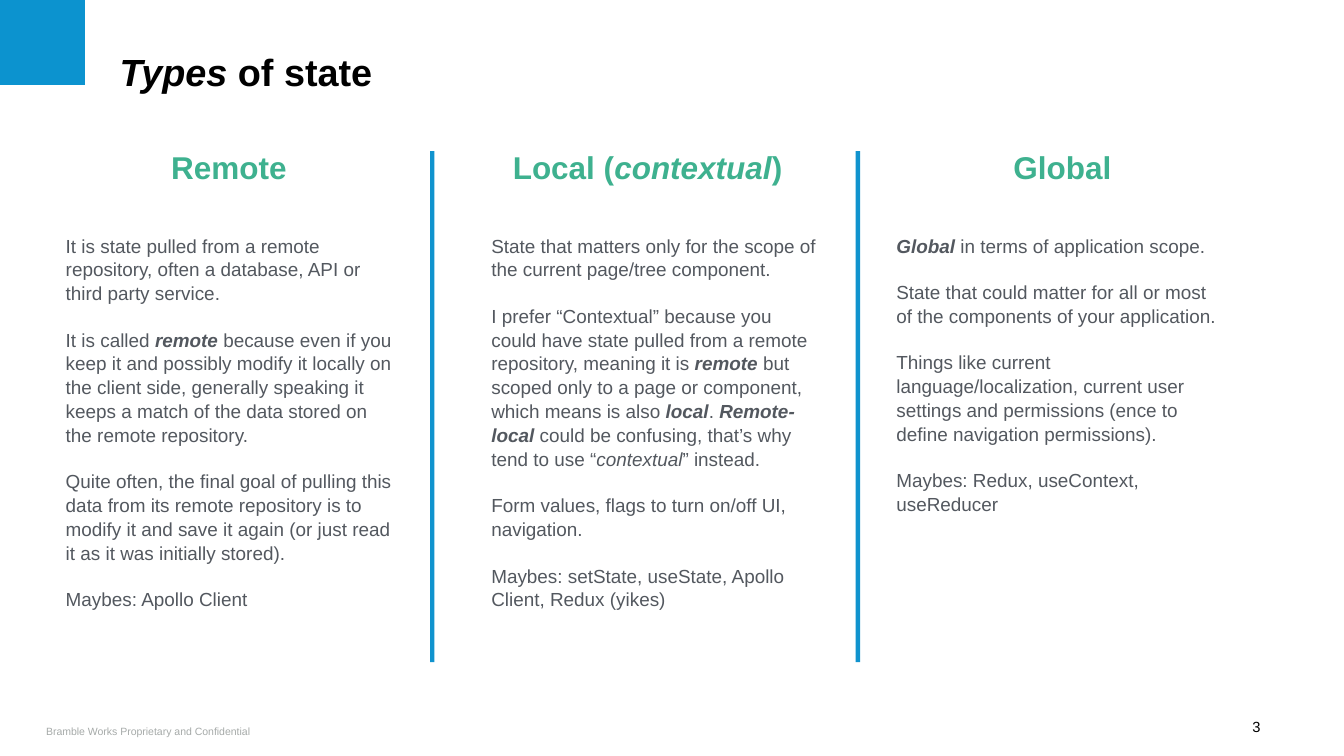
from pptx import Presentation
from pptx.dml.color import RGBColor
from pptx.enum.shapes import MSO_SHAPE
from pptx.enum.text import MSO_ANCHOR, MSO_AUTO_SIZE, PP_ALIGN
from pptx.util import Cm, Pt

RECTANGLE = MSO_SHAPE.RECTANGLE
TOP, MIDDLE = MSO_ANCHOR.TOP, MSO_ANCHOR.MIDDLE
LEFT, CENTER = PP_ALIGN.LEFT, PP_ALIGN.CENTER
NO_AUTOFIT = MSO_AUTO_SIZE.NONE

FONT = "Arial"
BLUE = RGBColor(0x0C, 0x93, 0xCF)
DIVIDER_BLUE = RGBColor(0x10, 0x93, 0xCE)
GREEN = RGBColor(0x3E, 0xB1, 0x8F)
DARK_GRAY = RGBColor(0x53, 0x58, 0x5F)
LIGHT_GRAY = RGBColor(0xA6, 0xAA, 0xA9)
BLACK = RGBColor(0, 0, 0)

# Run styles: (bold, italic)
PLAIN = (False, False)
BOLD = (True, False)
ITALIC = (False, True)
STRONG = (True, True)

# Each column: heading left and width, body left, heading runs, body paragraphs
COLUMNS = [
    (1.96, 11.46, 1.96, [("Remote", BOLD)], [
        [("It is state pulled from a remote repository, often a database, "
          "API or third party service.", PLAIN)],
        [("It is called ", PLAIN), ("remote", STRONG),
         (" because even if you keep it and possibly modify it locally on the "
          "client side, generally speaking it keeps a match of the data stored "
          "on the remote repository.", PLAIN)],
        [("Quite often, the final goal of pulling this data from its remote "
          "repository is to modify it and save it again (or just read it as it "
          "was initially stored).", PLAIN)],
        [("Maybes: Apollo Client", PLAIN)],
    ]),
    (16.26, 11, 16.26,
     [("Local (", BOLD), ("contextual", STRONG), (")", BOLD)], [
        [("State that matters only for the scope of the current page/tree "
          "component.", PLAIN)],
        [("I prefer “Contextual” because you could have state pulled from a "
          "remote repository, meaning it is ", PLAIN), ("remote ", STRONG),
         ("but scoped only to a page or component, which means is also ", PLAIN),
         ("local", STRONG), (". ", PLAIN), ("Remote-local ", STRONG),
         ("could be confusing, that’s why tend to use “", PLAIN),
         ("contextual", ITALIC), ("” instead.", PLAIN)],
        [("Form values, flags to turn on/off UI, navigation.", PLAIN)],
        [("Maybes: setState, useState, Apollo Client, Redux (yikes)", PLAIN)],
    ]),
    (29.97, 11.46, 29.87, [("Global", BOLD)], [
        [("Global", STRONG), (" in terms of application scope.", PLAIN)],
        [("State that could matter for all or most of the components of your "
          "application.", PLAIN)],
        [("Things like current language/localization, current user settings "
          "and permissions (ence to define navigation permissions).", PLAIN)],
        [("Maybes: Redux, useContext, useReducer", PLAIN)],
    ]),
]


def add_block(slide, left, top, width, height, color):
    shape = slide.shapes.add_shape(
        RECTANGLE, Cm(left), Cm(top), Cm(width), Cm(height))
    shape.shadow.inherit = False
    shape.fill.solid()
    shape.fill.fore_color.rgb = color
    shape.line.fill.background()


def fill_text(shape, paragraphs, size, color, align=LEFT, anchor=TOP,
              inset=(0.25, 0.13), line_spacing=1.0, gap=0):
    """Write paragraphs, each a list of (text, style) runs, into a shape."""
    text_frame = shape.text_frame
    text_frame.word_wrap = True
    text_frame.auto_size = NO_AUTOFIT
    text_frame.vertical_anchor = anchor
    text_frame.margin_left = text_frame.margin_right = Cm(inset[0])
    text_frame.margin_top = text_frame.margin_bottom = Cm(inset[1])
    text_frame.text = "\n".join(
        "" for _ in paragraphs)
    for paragraph, runs in zip(text_frame.paragraphs, paragraphs):
        paragraph.alignment = align
        paragraph.line_spacing = line_spacing
        paragraph.space_before = Pt(0)
        paragraph.space_after = Pt(gap)
        for text, (bold, italic) in runs:
            run = paragraph.add_run()
            run.text = text
            run.font.name = FONT
            run.font.size = Pt(size)
            run.font.color.rgb = color
            run.font.bold = bold
            run.font.italic = italic


def add_text(slide, left, top, width, height, *content, **formatting):
    shape = slide.shapes.add_textbox(Cm(left), Cm(top), Cm(width), Cm(height))
    fill_text(shape, *content, **formatting)


def set_title(slide, runs):
    title = slide.shapes.title
    title.left, title.top = Cm(3.89), Cm(1.5)
    title.width, title.height = Cm(20.9), Cm(1.78)
    fill_text(title, [runs], 36, BLACK, inset=(0.13, 0.13))


def add_column(slide, heading_left, heading_width, body_left, heading, body):
    add_text(slide, heading_left, 5, heading_width, 2.16, [heading], 30, GREEN,
             align=CENTER, line_spacing=0.9)
    add_text(slide, body_left, 7.7, 11.56, 14.76, body, 18, DARK_GRAY,
             line_spacing=1.05, gap=21.6)


def main():
    presentation = Presentation()
    presentation.slide_width, presentation.slide_height = Cm(45.16), Cm(25.4)
    slide = presentation.slides.add_slide(presentation.slide_layouts[5])

    # Corner block and title
    add_block(slide, 0, 0, 2.85, 2.85, BLUE)
    set_title(slide, [("Types", STRONG), (" of state", BOLD)])

    # Columns and the dividers between them
    for column in COLUMNS:
        add_column(slide, *column)
    for left in (14.45, 28.75):
        add_block(slide, left, 5.08, 0.15, 17.17, DIVIDER_BLUE)

    # Footer and page number
    add_text(slide, 1.42, 24.1, 9.58, 0.66,
             [[("Bramble Works Proprietary and Confidential", PLAIN)]],
             10, LIGHT_GRAY, inset=(0.13, 0.13), line_spacing=1.3)
    add_text(slide, 41.83, 23.44, 2.72, 1.96, [[("3", PLAIN)]], 14, BLACK,
             anchor=MIDDLE, inset=(0.25, 0.25))

    presentation.save("out.pptx")


if __name__ == "__main__":
    main()
